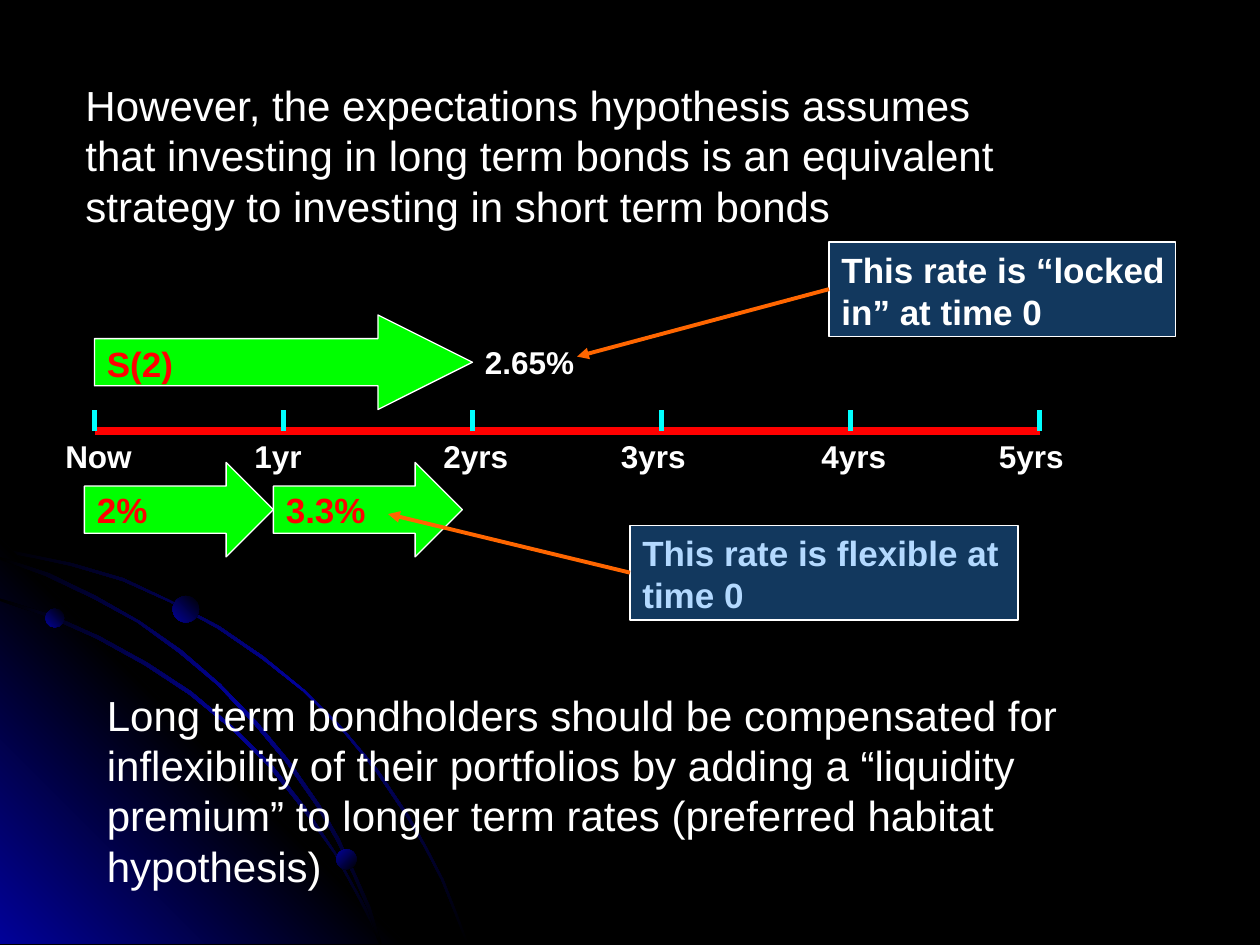
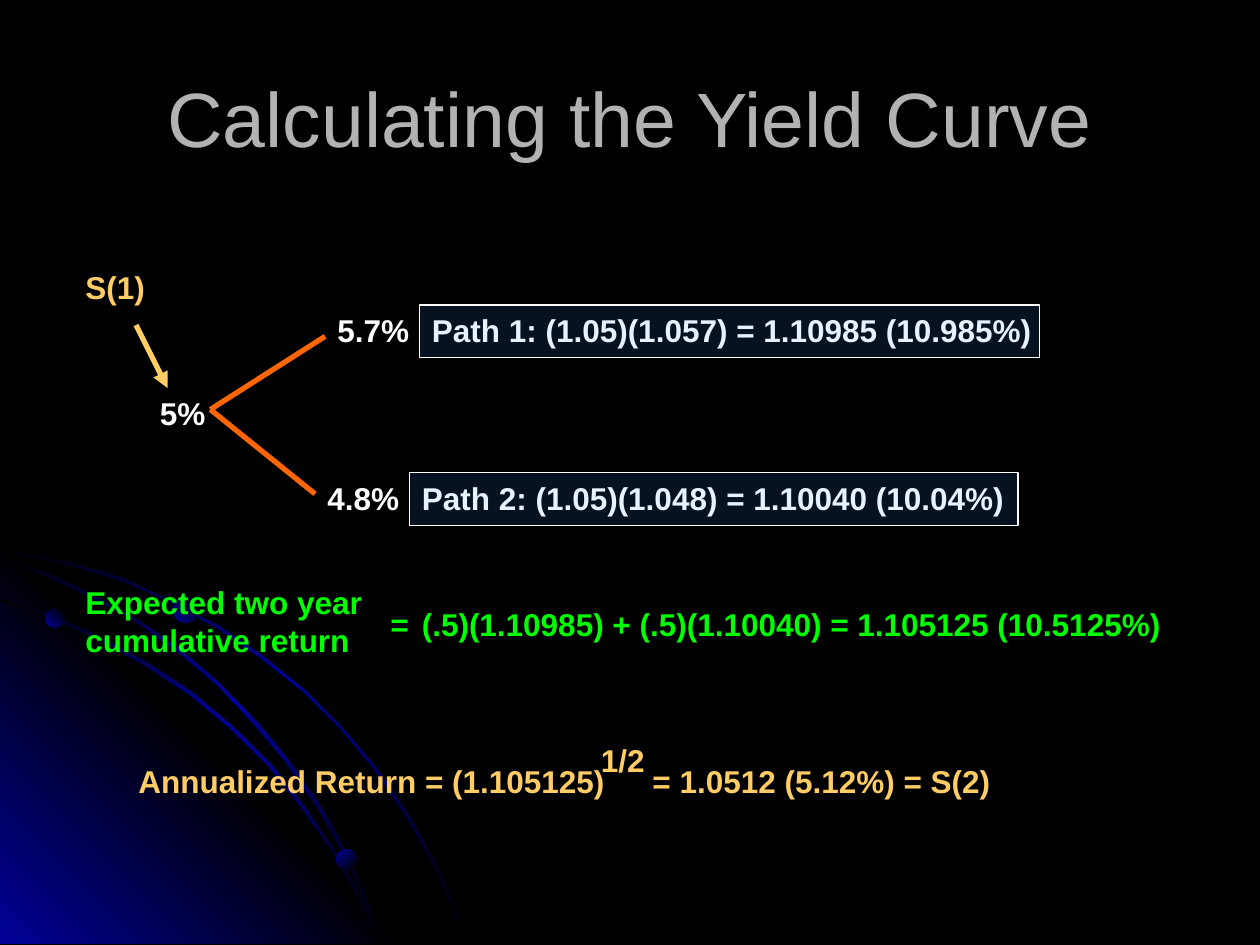
import pptx
import pptx.util
import pptx.dml.color
import pptx.enum.shapes
import pptx.enum.text
import pptx.oxml.ns
import lxml.etree

Inches, Pt = pptx.util.Inches, pptx.util.Pt
SHAPE = pptx.enum.shapes.MSO_SHAPE
ALIGN = pptx.enum.text.PP_ALIGN
ANCHOR = pptx.enum.text.MSO_ANCHOR
qn = pptx.oxml.ns.qn

COLORS = {
    "black": "000000", "navy": "010199", "white": "FFFFFF", "title": "B2B2B2",
    "red": "FF0000", "cyan": "00FFFF", "green": "00FF00", "orange": "FF6600",
    "gold": "FFCC66", "tint": "3399FF",
}

# Text styles: size, bold, colour
STYLES = {
    "title": (44, False, "title"),
    "body": (24, False, "white"),
    "callout": (20, True, "white"),
    "rate": (20, True, "red"),
    "label": (18, True, "white"),
    "expected": (18, True, "green"),
    "annual": (18, True, "gold"),
}

# Backdrop outlines, in hundredths of an inch
OUTER_ARC = [
    (57, 447), (28, 441), (0, 435), (0, 438), (28, 443), (56, 449), (97, 461),
    (135, 478), (173, 499), (208, 523), (241, 549), (271, 579), (298, 612),
    (323, 649), (337, 673), (350, 698), (360, 723), (370, 749), (372, 749),
    (362, 723), (352, 698), (339, 673), (325, 648), (300, 611), (272, 578),
    (242, 548), (209, 521), (174, 497), (136, 477), (98, 459)]
CORNER = [(322, 749), (0, 749), (0, 427)]
INNER_ARC = [
    (285, 714), (294, 732), (301, 749), (303, 749), (296, 730), (286, 712),
    (266, 676), (242, 640), (215, 606), (184, 576), (152, 549), (117, 526),
    (79, 505), (41, 488), (0, 475), (0, 477), (39, 490), (77, 507), (115, 528),
    (150, 551), (183, 578), (213, 608), (240, 642), (265, 677)]
MIDDLE_ARC = [
    (0, 442), (0, 444), (36, 457), (74, 475), (109, 494), (142, 518),
    (173, 544), (202, 575), (227, 605), (252, 641), (267, 667), (280, 694),
    (292, 722), (301, 749), (303, 749), (294, 720), (282, 693), (269, 665),
    (254, 639), (229, 603), (204, 573), (175, 543), (144, 516), (111, 493),
    (76, 473), (39, 455)]
GLOW = ("black", "navy", "black")
BACKDROP = [
    (OUTER_ARC, GLOW, 225),
    (CORNER, ("navy", "black", "navy"), 135),
    (INNER_ARC, GLOW, 225),
    (MIDDLE_ARC, GLOW, 225),
]
# left, top, diameter, gradient angle
PLANETS = [(0.36, 4.83, 0.15, 135), (2.67, 6.74, 0.16, 225), (1.37, 4.73, 0.21, 135)]

# Slide 1
ASSUMPTION = ("However, the expectations hypothesis assumes that investing in long "
              "term bonds is an equivalent strategy to investing in short term bonds")
CONCLUSION = ("Long term bondholders should be compensated for inflexibility of their "
              "portfolios by adding a “liquidity premium” to longer term rates "
              "(preferred habitat hypothesis)")
AXIS_LEFT, AXIS_TOP, YEAR_WIDTH = 0.75, 3.42, 1.5
# label, distance of its box to the left of the tick
YEARS = [("Now", 0.33), ("1yr", 0.33), ("2yrs", 0.33),
         ("3yrs", 0.42), ("4yrs", 0.33), ("5yrs", 0.42)]
# label, left, top, years covered, head length, label drop
RATE_ARROWS = [("S(2)", 0.75, 2.5, 2, 1, 0.17),
               ("3.3%", 2.17, 3.67, 1, 0.5, 0.16),
               ("2%", 0.67, 3.67, 1, 0.5, 0.16)]
# text, left, top, panel width, pointer target, text lies under the tint
CALLOUTS = [
    ("This rate is “locked in” at time 0", 6.58, 1.92, 2.75, (4.58, 2.83), False),
    ("This rate is flexible at time 0", 5, 4.17, 3.08, (3.08, 4.08), True),
]

# Slide 2
FORK = (1.67, 3.25)
# rate, rate left, top, branch end, path, panel left, panel width
PATHS = [
    ("5.7%", 2.58, 2.42, (2.58, 2.67),
     "Path 1: (1.05)(1.057) = 1.10985 (10.985%)", 3.33, 4.92),
    ("4.8%", 2.5, 3.75, (2.5, 3.92),
     "Path 2: (1.05)(1.048) = 1.10040 (10.04%)", 3.25, 4.83),
]
# text, style, left, top, width, height
CALCULATION = [
    ("5%", "label", 1.17, 3.08, 1.08, 0.4),
    ("S(1)", "annual", 0.58, 2.08, 0.92, 0.4),
    ("Expected two year cumulative return", "expected", 0.58, 4.58, 2.83, 0.7),
    ("=", "expected", 3, 4.75, 0.58, 0.4),
    ("(.5)(1.10985) + (.5)(1.10040) = 1.105125 (10.5125%)",
     "expected", 3.25, 4.75, 6.7, 0.4),
    ("Annualized Return = (1.105125)", "annual", 1, 6, 6.92, 0.4),
    ("1/2", "annual", 4.67, 5.83, 0.75, 0.4),
    ("= 1.0512 (5.12%) = S(2)", "annual", 5.08, 6, 3, 0.4),
]


def rgb(name):
    return pptx.dml.color.RGBColor.from_string(COLORS[name])


def apply(target, values):
    for attribute, value in values.items():
        setattr(target, attribute, value)


def add_text(slide, text, style, left, top, width, height, **paragraph_format):
    box = slide.shapes.add_textbox(*map(Inches, (left, top, width, height)))
    apply(box.text_frame, {"word_wrap": True, "text": text})
    paragraph = box.text_frame.paragraphs[0]
    apply(paragraph, paragraph_format)
    size, bold, color = STYLES[style]
    apply(paragraph.font, {"name": "Arial", "size": Pt(size), "bold": bold})
    paragraph.font.color.rgb = rgb(color)
    return box


def add_block(slide, preset, left, top, width, height, color, opacity=100):
    """Add a preset shape with a thin white outline."""
    block = slide.shapes.add_shape(preset, *map(Inches, (left, top, width, height)))
    block.shadow.inherit = False
    block.fill.solid()
    block.fill.fore_color.rgb = rgb(color)
    block.line.color.rgb = rgb("white")
    block.line.width = Pt(0.75)
    if opacity < 100:
        solid = block._element.spPr.find(qn("a:solidFill"))
        lxml.etree.SubElement(solid[0], qn("a:alpha"), val=str(opacity * 1000))
    return block


def add_line(slide, start, end, color, width, arrow=False):
    line = slide.shapes.add_connector(
        pptx.enum.shapes.MSO_CONNECTOR.STRAIGHT, *map(Inches, (*start, *end)))
    line.line.color.rgb = rgb(color)
    line.line.width = Pt(width)
    if arrow:
        lxml.etree.SubElement(line.line._get_or_add_ln(), qn("a:tailEnd"), type="triangle")
    lxml.etree.SubElement(line._element.spPr, qn("a:effectLst"))
    return line


def fade(shape, stops, angle):
    """Fill with evenly spaced gradient stops; the angle runs clockwise."""
    shape.shadow.inherit = False
    shape.line.fill.background()
    shape.fill.gradient()
    shape.fill.gradient_angle = 360 - angle
    stop_list = shape._element.spPr.find(".//" + qn("a:gsLst"))
    stop_list.clear()
    for i, name in enumerate(stops):
        position = str(100000 * i // (len(stops) - 1))
        stop = lxml.etree.SubElement(stop_list, qn("a:gs"), pos=position)
        lxml.etree.SubElement(stop, qn("a:srgbClr"), val=COLORS[name])


def new_slide(deck):
    """Add a blank slide with the shared night-sky backdrop."""
    slide = deck.slides.add_slide(deck.slide_layouts[6])
    slide.background.fill.solid()
    slide.background.fill.fore_color.rgb = rgb("black")
    for outline, stops, angle in BACKDROP:
        builder = slide.shapes.build_freeform(*outline[0], scale=Inches(0.01))
        builder.add_line_segments(outline[1:], close=True)
        fade(builder.convert_to_shape(), stops, angle)
    for left, top, size, angle in PLANETS:
        planet = slide.shapes.add_shape(SHAPE.OVAL, *map(Inches, (left, top, size, size)))
        fade(planet, ("black", "navy"), angle)
    return slide


def build_liquidity(deck):
    slide = new_slide(deck)
    add_text(slide, ASSUMPTION, "body", 0.58, 0.58, 7.75, 1.3)

    axis_right = AXIS_LEFT + YEAR_WIDTH * (len(YEARS) - 1)
    add_line(slide, (AXIS_LEFT, AXIS_TOP), (axis_right, AXIS_TOP), "red", 4.5)
    for i, (year, shift) in enumerate(YEARS):
        x = AXIS_LEFT + YEAR_WIDTH * i
        add_line(slide, (x, AXIS_TOP), (x, AXIS_TOP - 0.17), "cyan", 3)
        add_text(slide, year, "label", x - shift, AXIS_TOP, 0.83, 0.4)

    for rate, left, top, years, head, drop in RATE_ARROWS:
        arrow = add_block(slide, SHAPE.RIGHT_ARROW, left, top,
                          years * YEAR_WIDTH, 0.75, "green")
        arrow.adjustments[1] = head
        add_text(slide, rate, "rate", left, top + drop, 1, 0.44)
    add_text(slide, "2.65%", "label", 3.75, 2.67, 1.25, 0.4)

    for text, left, top, width, target, tinted in CALLOUTS:
        place = (left, top, 3.17, 0.77)
        if tinted:
            add_text(slide, text, "callout", *place)
        panel = add_block(slide, SHAPE.RECTANGLE, left, top, width, 0.75, "tint", 37)
        if not tinted:
            add_text(slide, text, "callout", *place)
        pointer = add_line(slide, (left, top + 0.38), target, "orange", 2.25, arrow=True)
        pointer.begin_connect(panel, 1)
    add_text(slide, CONCLUSION, "body", 0.75, 5.42, 8.58, 1.7)


def build_yield_curve(deck):
    slide = new_slide(deck)
    title = add_text(slide, "Calculating the Yield Curve", "title",
                     0.5, 0.3, 9, 1.25, alignment=ALIGN.CENTER)
    title.text_frame.vertical_anchor = ANCHOR.MIDDLE

    for rate, rate_left, top, branch_end, path_text, left, width in PATHS:
        add_line(slide, FORK, branch_end, "orange", 3)
        add_text(slide, rate, "label", rate_left, top, 1.08, 0.4)
        add_text(slide, path_text, "label", left, top, width + 0.25, 0.4)
        add_block(slide, SHAPE.RECTANGLE, left, top, width, 0.42, "tint", 12)
    for text, style, *place in CALCULATION:
        add_text(slide, text, style, *place)
    add_line(slide, (1.08, 2.58), (1.33, 3.08), "gold", 3, arrow=True)


def main():
    deck = pptx.Presentation()
    apply(deck, {"slide_width": Inches(10), "slide_height": Inches(7.5)})
    build_liquidity(deck)
    build_yield_curve(deck)
    deck.save("out.pptx")


if __name__ == "__main__":
    main()
